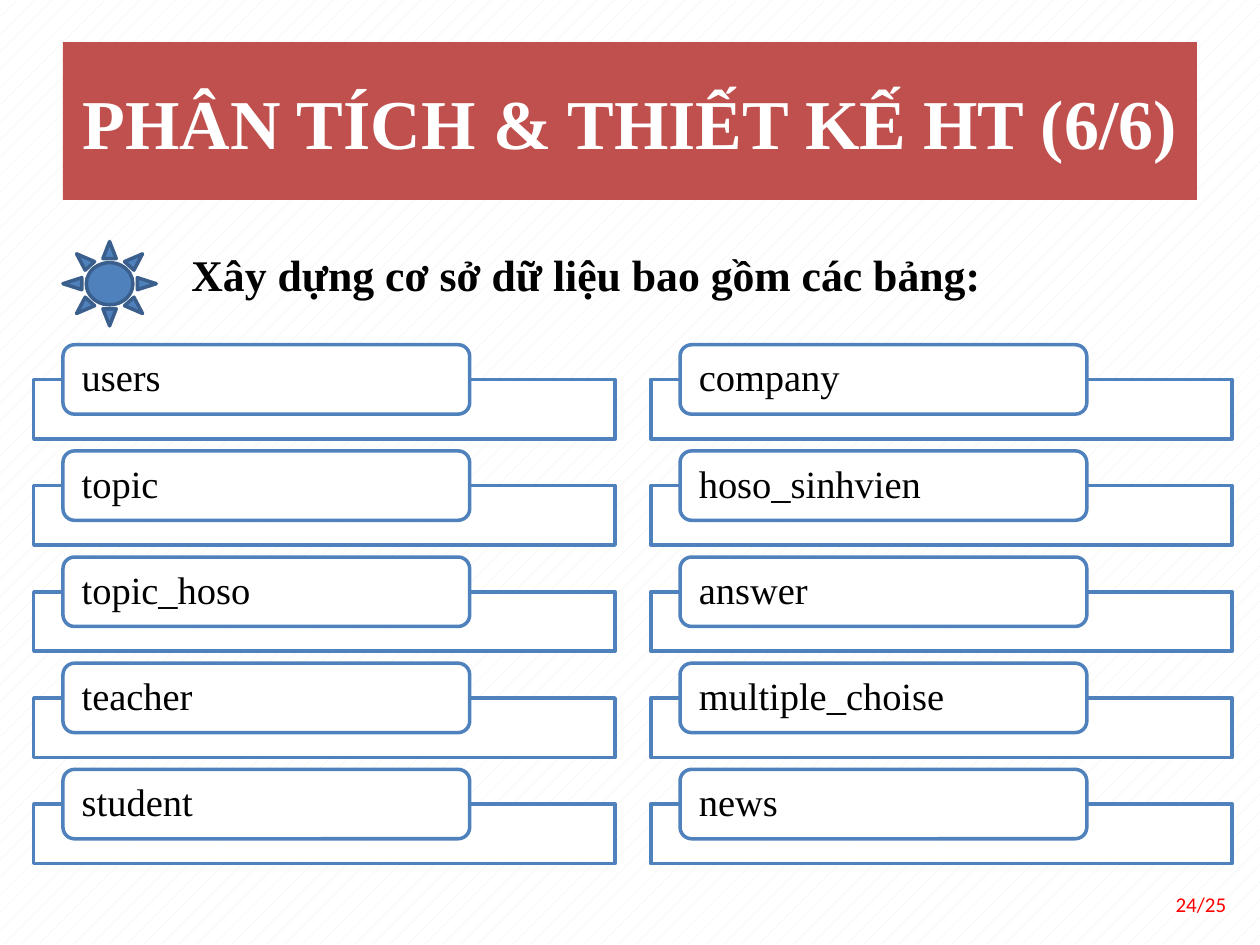
from lxml import etree
from pptx import Presentation
from pptx.dml.color import RGBColor
from pptx.enum.dml import MSO_PATTERN
from pptx.enum.shapes import MSO_SHAPE
from pptx.enum.text import MSO_ANCHOR, PP_ALIGN
from pptx.oxml.ns import qn
from pptx.util import Cm, Pt

RECTANGLE = MSO_SHAPE.RECTANGLE
ROUNDED = MSO_SHAPE.ROUNDED_RECTANGLE
SUN = MSO_SHAPE.SUN
DOTTED = MSO_PATTERN.PERCENT_5
LEFT, CENTER, RIGHT = PP_ALIGN.LEFT, PP_ALIGN.CENTER, PP_ALIGN.RIGHT
MIDDLE, TOP = MSO_ANCHOR.MIDDLE, MSO_ANCHOR.TOP

WHITE = RGBColor(0xFF, 0xFF, 0xFF)
BLACK = RGBColor(0, 0, 0)
RED = RGBColor(0xFF, 0, 0)
CREAM = RGBColor(0xEE, 0xEC, 0xE1)
BRICK = RGBColor(0xC0, 0x50, 0x4D)
BLUE = RGBColor(0x4F, 0x81, 0xBD)
DARK_BLUE = RGBColor(0x3A, 0x5F, 0x8C)
SERIF, SANS = "Times New Roman", "Calibri"

TITLE = "PHÂN TÍCH & THIẾT KẾ HT (6/6)"
HEADING = "Xây dựng cơ sở dữ liệu bao gồm các bảng:"
PAGE = "24/25"
TABLE_COLUMNS = [
    ["users", "topic", "topic_hoso", "teacher", "student"],
    ["company", "hoso_sinhvien", "answer", "multiple_choise", "news"],
]

# Grid of database tables, in centimetres
GRID_LEFT, GRID_TOP = 0.68, 6.95
COLUMN_STEP, ROW_STEP = 12.44, 2.14
PANEL_WIDTH, PANEL_HEIGHT = 11.72, 1.2
TAB_WIDTH, TAB_HEIGHT, TAB_INDENT = 8.2, 1.4, 0.59


def add_box(slide, preset, left, top, width, height, fill, line=None):
    box = slide.shapes.add_shape(preset, Cm(left), Cm(top), Cm(width), Cm(height))
    box.shadow.inherit = False
    box.fill.solid()
    box.fill.fore_color.rgb = fill
    if line is None:
        box.line.fill.background()
    else:
        box.line.color.rgb = line
        box.line.width = Pt(2)
    return box


def write(shape, text, size, color, font=SERIF, bold=False, align=LEFT, anchor=MIDDLE):
    frame = shape.text_frame
    frame.word_wrap = True
    frame.vertical_anchor = anchor
    paragraph = frame.paragraphs[0]
    paragraph.text = text
    paragraph.alignment = align
    style = paragraph.runs[0].font
    style.name, style.size, style.bold = font, Pt(size), bold
    style.color.rgb = color
    return frame


def set_opacity(shape, percent):
    color = shape.fill._xPr.find(qn("a:solidFill"))[0]
    etree.SubElement(color, qn("a:alpha")).set("val", str(percent * 1000))


def add_database_table(slide, name, left, top):
    """Draw a wide panel with a named tab overlapping its top edge."""
    panel = add_box(slide, RECTANGLE, left, top + TAB_HEIGHT / 2,
                    PANEL_WIDTH, PANEL_HEIGHT, WHITE, BLUE)
    set_opacity(panel, 90)
    tab = add_box(slide, ROUNDED, left + TAB_INDENT, top,
                  TAB_WIDTH, TAB_HEIGHT, WHITE, BLUE)
    frame = write(tab, name, 22, BLACK)
    frame.margin_left = frame.margin_right = Cm(0.31)
    frame.margin_top = frame.margin_bottom = 0
    frame.paragraphs[0].line_spacing = 0.9


def main():
    prs = Presentation()
    prs.slide_width, prs.slide_height = Cm(25.4), Cm(19.05)
    slide = prs.slides.add_slide(prs.slide_layouts[6])

    background = slide.background.fill
    background.patterned()
    background.pattern = DOTTED
    background.fore_color.rgb = CREAM
    background.back_color.rgb = WHITE

    page = slide.shapes.add_textbox(Cm(18.62), Cm(17.65), Cm(6.35), Cm(1.14))
    write(page, PAGE, 12, RED, font=SANS, align=RIGHT)

    banner = add_box(slide, RECTANGLE, 1.27, 0.85, 22.86, 3.18, BRICK)
    write(banner, TITLE, 40, WHITE, bold=True, align=CENTER)

    add_box(slide, SUN, 1.27, 4.87, 1.88, 1.7, BLUE, DARK_BLUE)
    heading = slide.shapes.add_textbox(Cm(3.39), Cm(4.87), Cm(17.58), Cm(1.32))
    frame = write(heading, HEADING, 25, BLACK, bold=True, anchor=TOP)
    frame.margin_left = Cm(0.47)

    for column, names in enumerate(TABLE_COLUMNS):
        for row, name in enumerate(names):
            add_database_table(slide, name, GRID_LEFT + column * COLUMN_STEP,
                               GRID_TOP + row * ROW_STEP)

    prs.save("out.pptx")


if __name__ == "__main__":
    main()
